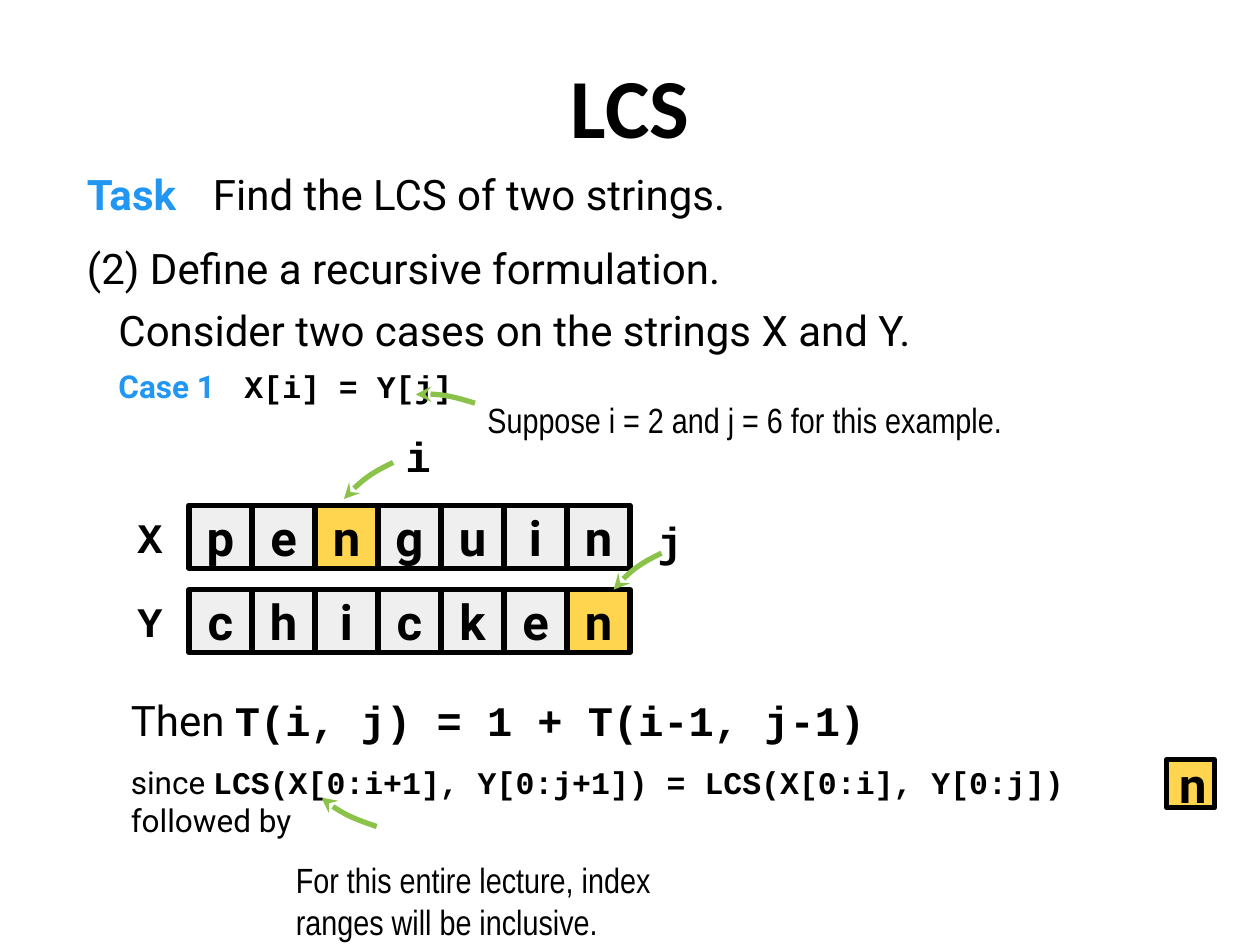
from dataclasses import dataclass

import pptx
import pptx.dml.color
import pptx.enum.shapes
import pptx.enum.text
import pptx.oxml.ns
import pptx.util
from lxml import etree

Inches = pptx.util.Inches
Pt = pptx.util.Pt
qn = pptx.oxml.ns.qn
ALIGN = pptx.enum.text.PP_ALIGN
ANCHOR = pptx.enum.text.MSO_ANCHOR


@dataclass(frozen=True)
class Theme:
    ink: str = "000000"
    blue: str = "2196F3"
    green: str = "8BC34A"
    gold: str = "FFD54F"
    grey: str = "EFEFEF"
    sans: str = "Roboto"
    mono: str = "Courier New"
    head: str = "Calibri"
    note: str = "Arial Narrow"
    title: int = 48
    cell: int = 28
    large: int = 24
    hint: int = 20
    small: int = 18
    line: int = 3


T = Theme()


@dataclass(frozen=True)
class Run:
    text: str
    size: float
    face: str = T.sans
    bold: bool = False
    color: str = T.ink


@dataclass(frozen=True)
class Line:
    runs: tuple
    before: float = 0
    left: float = 0
    tab: float = 0


@dataclass(frozen=True)
class Box:
    left: float
    top: float
    width: float
    height: float


@dataclass(frozen=True)
class Word:
    name: str
    text: str
    top: float
    hit: int


@dataclass(frozen=True)
class Arrow:
    start: tuple
    bend: tuple
    end: tuple


def rgb(code: str):
    return pptx.dml.color.RGBColor.from_string(code)


def place(shape, box: Box) -> None:
    shape.left, shape.top = Inches(box.left), Inches(box.top)
    shape.width, shape.height = Inches(box.width), Inches(box.height)


def write(shape, lines, align=ALIGN.LEFT, anchor=ANCHOR.TOP, pad=0.1) -> None:
    frame = shape.text_frame
    frame.word_wrap = True
    frame.auto_size = pptx.enum.text.MSO_AUTO_SIZE.NONE
    frame.vertical_anchor = anchor
    frame.margin_left = frame.margin_right = Inches(0.1)
    frame.margin_top = frame.margin_bottom = Inches(pad)
    for num, line in enumerate(lines):
        para = frame.add_paragraph() if num else frame.paragraphs[0]
        props = para._p.get_or_add_pPr()
        props.set("marL", str(Inches(line.left)))
        props.set("indent", "0")
        etree.SubElement(props, qn("a:buNone"))
        if line.tab:
            tabs = etree.SubElement(props, qn("a:tabLst"))
            etree.SubElement(tabs, qn("a:tab"), pos=str(Inches(line.tab)), algn="l")
        para.alignment = align
        para.line_spacing = 1.0
        para.space_before = Pt(line.before)
        para.space_after = Pt(0)
        for item in line.runs:
            run = para.add_run()
            run.text = item.text
            run.font.name = item.face
            run.font.size = Pt(item.size)
            run.font.bold = item.bold
            run.font.color.rgb = rgb(item.color)


def add_text(slide, box: Box, runs, **style) -> None:
    shape = slide.shapes.add_textbox(0, 0, 0, 0)
    place(shape, box)
    write(shape, [Line(runs)], **style)


def add_mark(slide, text: str, left: float, top: float) -> None:
    add_text(slide, Box(left, top, 0.5, 0.5), (Run(text, T.large, T.mono, True),),
             align=ALIGN.CENTER, anchor=ANCHOR.MIDDLE)


def add_cell(slide, text: str, box: Box, fill: str) -> None:
    shape = slide.shapes.add_shape(pptx.enum.shapes.MSO_SHAPE.RECTANGLE, 0, 0, 0, 0)
    place(shape, box)
    shape.shadow.inherit = False
    shape.fill.solid()
    shape.fill.fore_color.rgb = rgb(fill)
    shape.line.color.rgb = rgb(T.ink)
    shape.line.width = Pt(T.line)
    write(shape, [Line((Run(text, T.cell, bold=True),))], ALIGN.CENTER, ANCHOR.MIDDLE)


def add_word(slide, word: Word) -> None:
    side = 0.5
    add_mark(slide, word.name, 0.94, word.top)
    for num, char in enumerate(word.text):
        fill = T.gold if num == word.hit else T.grey
        add_cell(slide, char, Box(1.5 + num * side, word.top, side, side), fill)


def add_arrow(slide, arrow: Arrow) -> None:
    start, bend, end = ((Inches(x), Inches(y))
                        for x, y in (arrow.start, arrow.bend, arrow.end))
    build = slide.shapes.build_freeform(*start)
    build.add_line_segments([bend, end], close=False)
    shape = build.convert_to_shape()
    shape.shadow.inherit = False
    shape.fill.background()
    shape.line.color.rgb = rgb(T.green)
    shape.line.width = Pt(T.line)
    etree.SubElement(shape.line._get_or_add_ln(), qn("a:tailEnd"), type="stealth")
    route = next(shape._element.iter(qn("a:path")))
    legs = route.findall(qn("a:lnTo"))
    curve = etree.SubElement(route, qn("a:quadBezTo"))
    for leg in legs:
        curve.append(leg[0])
        route.remove(leg)


TASK = [
    Line((Run("Task", T.large, bold=True, color=T.blue),
          Run("\tFind the LCS of two strings.", T.large)), tab=0.88),
    Line((Run("(2) Define a recursive formulation.", T.large),), before=13),
    Line((Run("Consider two cases on the strings X and Y.", T.large),),
         before=7, left=0.25),
    Line((Run("Case 1\t", T.small, bold=True, color=T.blue),
          Run("X[i] = Y[j]", T.small, T.mono, True)), before=7, left=0.25, tab=1.14),
]
WORDS = [Word("X", "penguin", 4.01, 2), Word("Y", "chicken", 4.68, 6)]
ARROWS = [
    Arrow((3.12, 3.67), (2.87, 3.79), (2.73, 3.96)),
    Arrow((5.25, 4.39), (5.0, 4.51), (4.87, 4.68)),
    Arrow((3.77, 3.2), (3.48, 3.11), (3.3, 3.13)),
    Arrow((2.99, 6.56), (2.69, 6.46), (2.55, 6.33)),
]
NOTES = [
    (Box(3.77, 3.06, 5.08, 0.6), "Suppose i = 2 and j = 6 for this example."),
    (Box(2.25, 6.71, 3.6, 0.82),
     "For this entire lecture, index ranges will be inclusive."),
]


def main() -> None:
    deck = pptx.Presentation()
    deck.slide_width, deck.slide_height = Inches(10), Inches(7.5)
    slide = deck.slides.add_slide(deck.slide_layouts[1])
    title, body = slide.placeholders
    place(title, Box(0, 0.33, 10, 1.25))
    write(title, [Line((Run("LCS", T.title, T.head, True),))], ALIGN.CENTER)
    place(body, Box(0.59, 1.24, 8.67, 2.24))
    write(body, TASK)
    for word in WORDS:
        add_word(slide, word)
    add_mark(slide, "i", 3.07, 3.37)
    add_mark(slide, "j", 5.07, 4.04)
    for arrow in ARROWS:
        add_arrow(slide, arrow)
    add_cell(slide, "n", Box(9.26, 6.03, 0.38, 0.38), T.gold)
    for box, text in NOTES:
        add_text(slide, box, (Run(text, T.hint, T.note),))
    add_text(slide, Box(0.94, 5.46, 6.52, 0.5), (
        Run("Then ", T.large),
        Run("T(i, j) = 1 + T(i-1, j-1)", T.large, T.mono, True)), pad=0.05)
    add_text(slide, Box(0.94, 6.01, 8.5, 0.4), (
        Run("since ", T.small),
        Run("LCS(X[0:i+1], Y[0:j+1]) = LCS(X[0:i], Y[0:j])", T.small, T.mono, True),
        Run(" followed by", T.small)), pad=0.05)
    deck.save("out.pptx")


if __name__ == "__main__":
    main()
